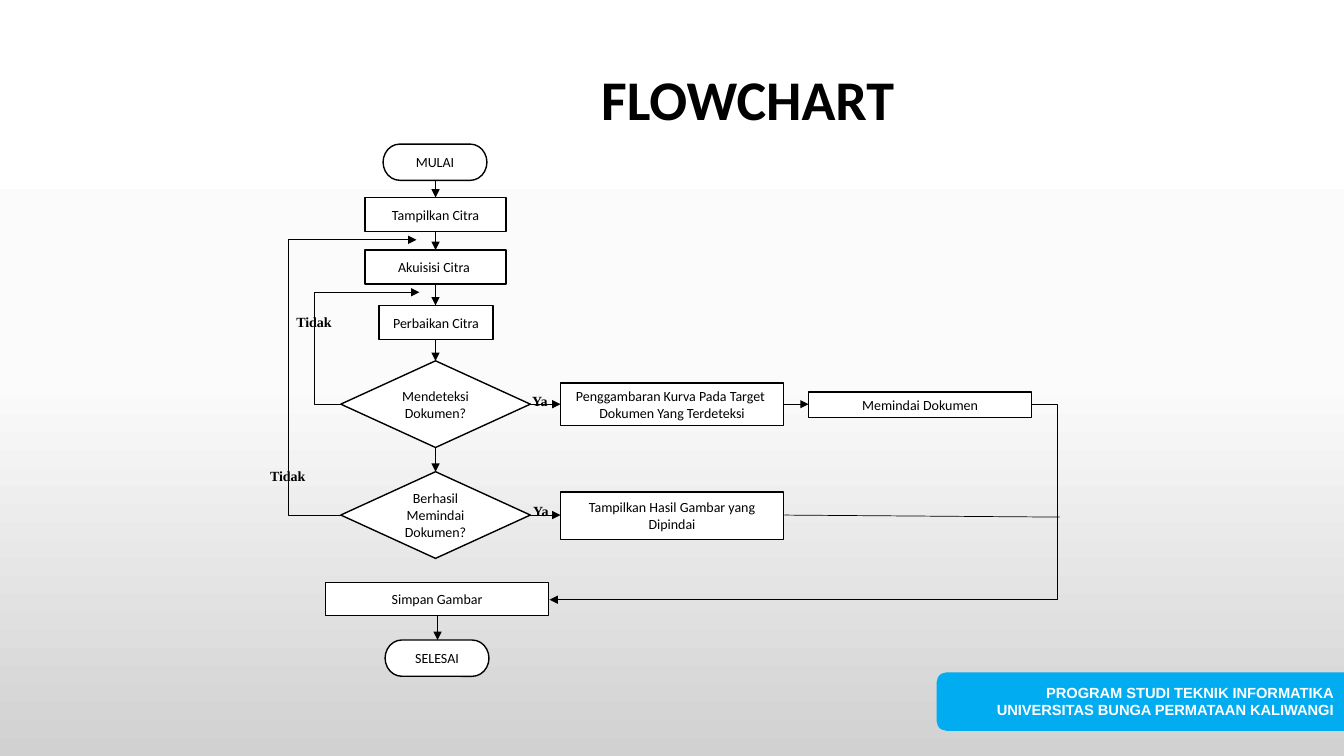
from copy import deepcopy
from dataclasses import dataclass
from typing import Optional

from lxml import etree
from pptx import Presentation
from pptx.dml.color import RGBColor
from pptx.enum import shapes, text
from pptx.oxml.ns import qn
from pptx.util import Inches, Pt

Kind = shapes.MSO_SHAPE


@dataclass(frozen=True)
class Theme:
    ink: RGBColor = RGBColor(0, 0, 0)
    paper: RGBColor = RGBColor(255, 255, 255)
    banner: RGBColor = RGBColor(0x01, 0xAC, 0xF0)
    backdrop: tuple = ((0, "FFFFFF"), (0.5, "FBFBFB"), (1, "D1D1D1"))
    body_font: str = "Calibri"
    answer_font: str = "Times New Roman"
    footer_font: str = "Arial"
    title_size: float = 40
    body_size: float = 10
    footer_size: float = 10.5
    outline: float = 1
    arrow: float = 0.75
    loop: float = 0.5


@dataclass(frozen=True)
class Step:
    kind: Kind
    left: float
    top: float
    width: float
    height: float
    label: str


@dataclass(frozen=True)
class Flow:
    """A straight line, or an elbow when turn_x is given."""
    start: tuple[float, float]
    end: tuple[float, float]
    weight: float
    turn_x: Optional[float] = None
    arrow: bool = True


@dataclass(frozen=True)
class Answer:
    left: float
    top: float
    width: float
    label: str


THEME = Theme()
AXIS, END_AXIS = 4.32, 4.34
DETECT_Y, SCAN_Y = 4.01, 5.11

STEPS = [
    Step(Kind.FLOWCHART_TERMINATOR, 3.8, 1.43, 1.03, 0.36, "MULAI"),
    Step(Kind.RECTANGLE, 3.62, 1.96, 1.4, 0.34, "Tampilkan Citra"),
    Step(Kind.RECTANGLE, 3.62, 2.48, 1.4, 0.34, "Akuisisi Citra "),
    Step(Kind.RECTANGLE, 3.76, 3.03, 1.13, 0.34, "Perbaikan Citra"),
    Step(Kind.DIAMOND, 3.38, 3.58, 1.88, 0.86, "Mendeteksi Dokumen?"),
    Step(Kind.DIAMOND, 3.38, 4.68, 1.88, 0.86, "Berhasil Memindai Dokumen?"),
    Step(Kind.RECTANGLE, 5.56, 3.8, 2.21, 0.42,
         "Penggambaran Kurva Pada Target \nDokumen Yang Terdeteksi"),
    Step(Kind.RECTANGLE, 8.02, 3.89, 2.21, 0.25, "Memindai Dokumen"),
    Step(Kind.RECTANGLE, 5.56, 4.88, 2.21, 0.47, "Tampilkan Hasil Gambar yang Dipindai"),
    Step(Kind.RECTANGLE, 3.23, 5.78, 2.21, 0.33, "Simpan Gambar"),
    Step(Kind.FLOWCHART_TERMINATOR, 3.82, 6.35, 1.03, 0.36, "SELESAI"),
]

DOWNWARD = [
    Flow((AXIS, above.top + above.height), (AXIS, below.top), THEME.arrow)
    for above, below in zip(STEPS[:5], STEPS[1:6])
]
FLOWS = DOWNWARD + [
    Flow((END_AXIS, 6.11), (END_AXIS, 6.35), THEME.arrow),
    Flow((5.26, DETECT_Y), (5.56, DETECT_Y), THEME.arrow),
    Flow((7.78, DETECT_Y), (8.02, DETECT_Y), THEME.arrow),
    Flow((5.26, SCAN_Y), (5.56, SCAN_Y), THEME.arrow),
    Flow((3.38, DETECT_Y), (4.16, 2.9), THEME.loop, turn_x=3.12),
    Flow((3.38, SCAN_Y), (4.13, 2.38), THEME.loop, turn_x=2.86),
    Flow((10.23, DETECT_Y), (5.45, 5.95), THEME.loop, turn_x=10.49),
    Flow((7.78, SCAN_Y), (10.51, 5.13), THEME.loop, arrow=False),
]

ANSWERS = [
    Answer(2.84, 3.06, 0.58, "Tidak"),
    Answer(2.58, 4.59, 0.58, "Tidak"),
    Answer(5.18, 3.84, 0.39, "Ya"),
    Answer(5.19, 4.94, 0.39, "Ya"),
]


def style_text(frame, font: str, size: float, color: RGBColor,
               align=text.PP_ALIGN.CENTER, bold: bool = False) -> None:
    for paragraph in frame.paragraphs:
        paragraph.alignment = align
        paragraph.font.name = font
        paragraph.font.size = Pt(size)
        paragraph.font.bold = bold
        paragraph.font.color.rgb = color


def paint_backdrop(slide) -> None:
    fill = slide.background.fill
    fill.gradient()
    fill.gradient_angle = 270
    first = next(slide.element.iter(qn("a:gs")))
    first.addnext(deepcopy(first))
    for stop, (position, color) in zip(fill.gradient_stops, THEME.backdrop):
        stop.position = position
        stop.color.rgb = RGBColor.from_string(color)


def add_title(slide) -> None:
    title = slide.shapes.title
    title.left, title.top = Inches(1.99), Inches(0.29)
    title.width, title.height = Inches(10.85), Inches(1.45)
    frame = title.text_frame
    frame.text = "FLOWCHART"
    frame.vertical_anchor = text.MSO_ANCHOR.MIDDLE
    frame.paragraphs[0].line_spacing = 0.9
    style_text(frame, THEME.body_font, THEME.title_size, THEME.ink, bold=True)


def add_footer(slide) -> None:
    banner = slide.shapes.add_shape(Kind.ROUND_2_SAME_RECTANGLE, Inches(11.02),
                                    Inches(4.94), Inches(0.58), Inches(4.04))
    banner.rotation = 270
    banner.shadow.inherit = False
    banner.fill.solid()
    banner.fill.fore_color.rgb = THEME.banner
    banner.line.fill.background()
    frame = slide.shapes.add_textbox(Inches(9.14), Inches(6.73),
                                     Inches(4.19), Inches(0.45)).text_frame
    frame.word_wrap = True
    frame.text = "PROGRAM STUDI TEKNIK INFORMATIKA\nUNIVERSITAS BUNGA PERMATAAN KALIWANGI"
    style_text(frame, THEME.footer_font, THEME.footer_size, THEME.paper,
               text.PP_ALIGN.RIGHT, bold=True)


def add_step(slide, step: Step) -> None:
    box = slide.shapes.add_shape(step.kind, Inches(step.left), Inches(step.top),
                                 Inches(step.width), Inches(step.height))
    box.shadow.inherit = False
    box.fill.solid()
    box.fill.fore_color.rgb = THEME.paper
    box.line.color.rgb = THEME.ink
    box.line.width = Pt(THEME.outline)
    frame = box.text_frame
    frame.text = step.label
    frame.word_wrap = True
    frame.vertical_anchor = text.MSO_ANCHOR.MIDDLE
    style_text(frame, THEME.body_font, THEME.body_size, THEME.ink)


def add_flow(slide, flow: Flow) -> None:
    bent = flow.turn_x is not None
    kind = shapes.MSO_CONNECTOR.ELBOW if bent else shapes.MSO_CONNECTOR.STRAIGHT
    (x1, y1), (x2, y2) = flow.start, flow.end
    line = slide.shapes.add_connector(kind, Inches(x1), Inches(y1), Inches(x2), Inches(y2))
    line.line.color.rgb = THEME.ink
    line.line.width = Pt(flow.weight)
    properties = line.element.spPr
    if flow.arrow:
        etree.SubElement(properties.find(qn("a:ln")), qn("a:tailEnd"), type="triangle")
    etree.SubElement(properties, qn("a:effectLst"))
    if bent:
        turn = round((flow.turn_x - x1) / (x2 - x1) * 100000)
        guides = next(properties.iter(qn("a:avLst")))
        etree.SubElement(guides, qn("a:gd"), name="adj1", fmla=f"val {turn}")


def add_answer(slide, answer: Answer) -> None:
    frame = slide.shapes.add_textbox(Inches(answer.left), Inches(answer.top),
                                     Inches(answer.width), Inches(0.29)).text_frame
    frame.word_wrap = False
    frame.text = answer.label
    style_text(frame, THEME.answer_font, THEME.body_size, THEME.ink,
               text.PP_ALIGN.LEFT, bold=True)


def main() -> None:
    deck = Presentation()
    deck.slide_width, deck.slide_height = Inches(13.33), Inches(7.5)
    slide = deck.slides.add_slide(deck.slide_layouts[5])
    paint_backdrop(slide)
    add_footer(slide)
    add_title(slide)
    for step in STEPS:
        add_step(slide, step)
    for flow in FLOWS:
        add_flow(slide, flow)
    for answer in ANSWERS:
        add_answer(slide, answer)
    deck.save("out.pptx")


if __name__ == "__main__":
    main()
